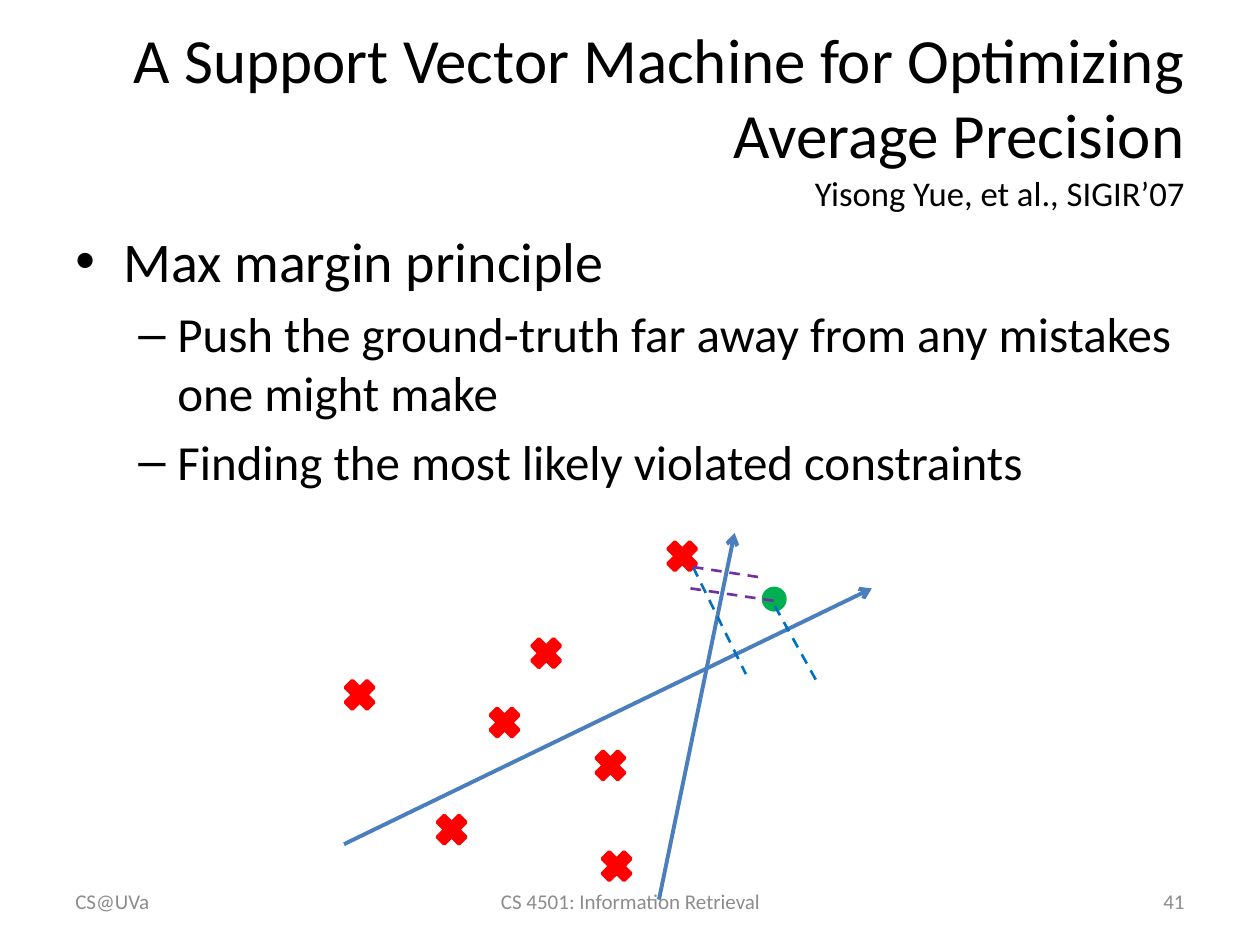
from lxml.etree import SubElement
from pptx import Presentation
from pptx.dml.color import RGBColor
from pptx.enum.dml import MSO_LINE_DASH_STYLE as Dash
from pptx.enum.shapes import MSO_CONNECTOR_TYPE as Link, MSO_SHAPE as Shape
from pptx.enum.text import MSO_ANCHOR as Anchor, PP_ALIGN as Align
from pptx.oxml.ns import qn
from pptx.util import Inches, Pt

COLUMNS, ROWS = 100, 75
CELL = Inches(10) // COLUMNS
FONT = "Calibri"
COLORS = {
    "text": "000000",
    "footer": "8C8C8C",
    "axis": "4B7EBC",
    "mistake": "FF0000",
    "truth": "00B050",
    "blue_gap": "0070C0",
    "purple_gap": "7030A0",
}
TITLE = "A Support Vector Machine for Optimizing Average Precision\vYisong Yue, et al., SIGIR’07"
TITLE_SIZES = (36, 19.8)
LEVELS = {
    0: {"size": 32, "bullet": "•", "margin": 0.38, "hang": 0.38},
    1: {"size": 28, "bullet": "–", "margin": 0.81, "hang": 0.31},
}
POINTS = [
    (0, "Max margin principle"),
    (1, "Push the ground-truth far away from any mistakes one might make"),
    (1, "Finding the most likely violated constraints"),
]
FOOTERS = [
    ("CS@UVa", 5, 23.3, Align.LEFT),
    ("CS 4501: Information Retrieval", 34.2, 31.7, Align.CENTER),
    ("41", 71.7, 23.3, Align.RIGHT),
]
MISTAKES = [(41.7, 50.2), (46.8, 59.1), (38.4, 55.7), (34.2, 64.2),
            (26.9, 53.5), (47.3, 67.1), (52.5, 42.5)]
AXES = [((52.3, 71.4), (58.3, 42.3)), ((27.3, 67), (69.2, 46.7))]
GAPS = [
    ("blue_gap", (55, 45), (59.2, 53.5)),
    ("blue_gap", (61.5, 48.1), (65, 54.4)),
    ("purple_gap", (55, 45), (60.2, 45.8)),
    ("purple_gap", (54.8, 46.7), (61.5, 47.7)),
]


def cells(*counts):
    return [round(count * CELL) for count in counts]


def color(name):
    return RGBColor.from_string(COLORS[name])


def style(font, size, name="text"):
    font.name = FONT
    font.size = Pt(size)
    font.color.rgb = color(name)


def add_text(page, text, place, align=Align.LEFT, anchor=Anchor.MIDDLE):
    frame = page.shapes.add_textbox(*cells(*place)).text_frame
    frame.word_wrap = True
    frame.vertical_anchor = anchor
    frame.text = text
    for para in frame.paragraphs:
        para.alignment = align
    return frame


def add_title(page):
    frame = add_text(page, TITLE, (5, 3, 90, 12.5), Align.RIGHT)
    for span, size in zip(frame.paragraphs[0].runs, TITLE_SIZES):
        style(span.font, size)


def add_bullets(page):
    text = "\n".join(line for _, line in POINTS)
    frame = add_text(page, text, (5, 17.5, 90, 49.5), anchor=Anchor.TOP)
    for index, (para, (depth, _)) in enumerate(zip(frame.paragraphs, POINTS)):
        level = LEVELS[depth]
        para.level = depth
        if index:
            para.space_before = Pt(level["size"] * 0.2)
        settings = para._p.get_or_add_pPr()
        settings.set("marL", str(Inches(level["margin"])))
        settings.set("indent", str(-Inches(level["hang"])))
        SubElement(settings, qn("a:buFont"), typeface="Arial")
        SubElement(settings, qn("a:buChar"), char=level["bullet"])
        style(para.runs[0].font, level["size"])


def add_footer(page, text, left, width, align):
    frame = add_text(page, text, (left, 69.5, width, 4), align)
    style(frame.paragraphs[0].runs[0].font, 12, "footer")


def add_marker(page, kind, left, top, size, name):
    marker = page.shapes.add_shape(kind, *cells(left, top, size, size))
    marker.shadow.inherit = False
    marker.fill.solid()
    marker.fill.fore_color.rgb = color(name)
    marker.line.color.rgb = color(name)
    marker.line.width = Pt(2)


def add_line(page, start, end, name, width):
    line = page.shapes.add_connector(Link.STRAIGHT, *cells(*start, *end))
    line.line.color.rgb = color(name)
    line.line.width = Pt(width)
    SubElement(line._element.spPr, qn("a:effectLst"))
    return line


def add_axis(page, start, end):
    axis = add_line(page, start, end, "axis", 2.25)
    SubElement(axis.line._get_or_add_ln(), qn("a:tailEnd"), type="arrow")


def add_gap(page, name, start, end):
    add_line(page, start, end, name, 1.5).line.dash_style = Dash.DASH


def main():
    deck = Presentation()
    deck.slide_width, deck.slide_height = cells(COLUMNS, ROWS)
    page = deck.slides.add_slide(deck.slide_layouts[6])
    add_bullets(page)
    add_title(page)
    steep, shallow = AXES
    add_axis(page, *steep)
    for left, top in MISTAKES:
        add_marker(page, Shape.MATH_MULTIPLY, left, top, 3.3, "mistake")
    add_marker(page, Shape.OVAL, 60.6, 46.7, 1.7, "truth")
    add_axis(page, *shallow)
    for gap in GAPS:
        add_gap(page, *gap)
    for footer in FOOTERS:
        add_footer(page, *footer)
    deck.save("out.pptx")


if __name__ == "__main__":
    main()
